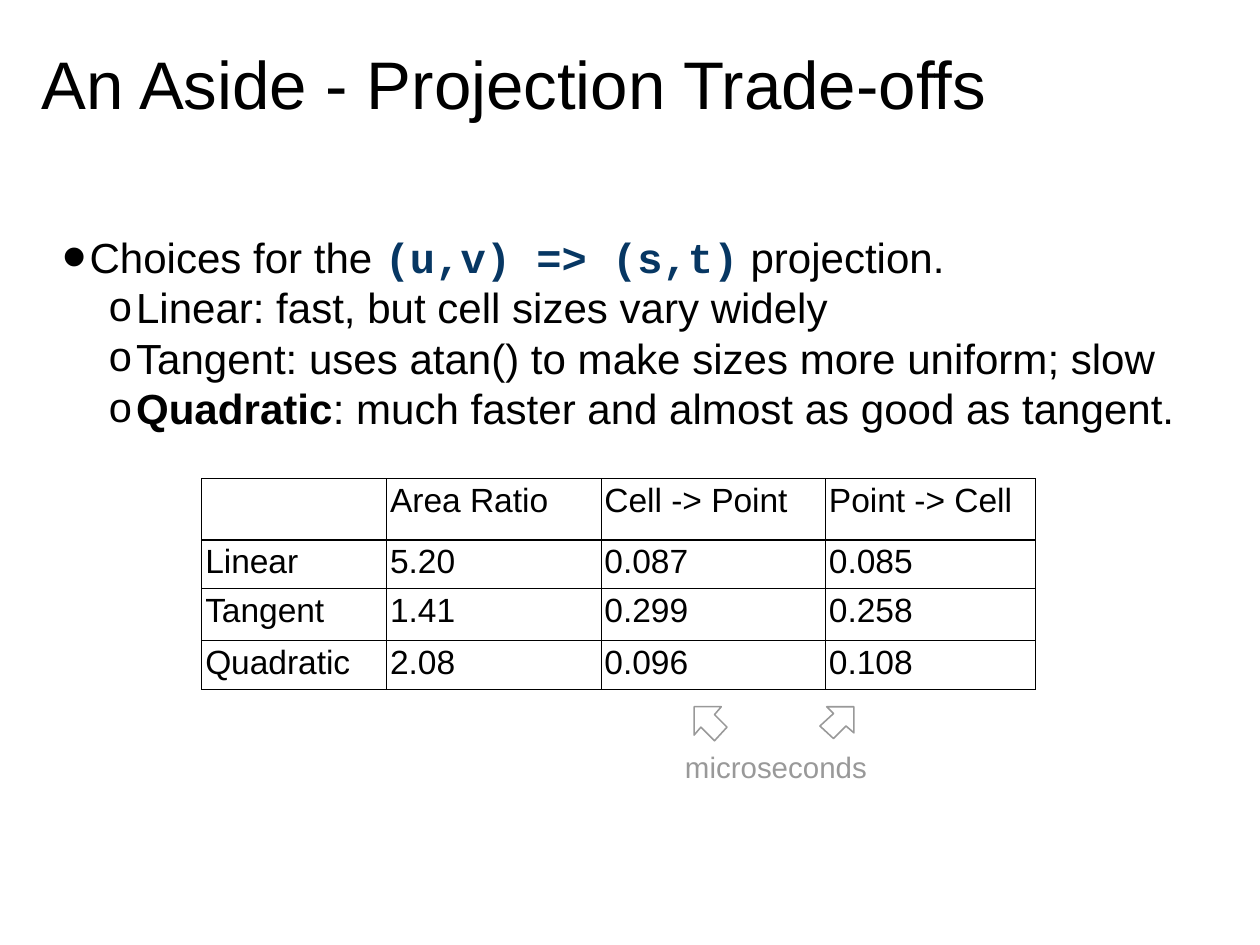
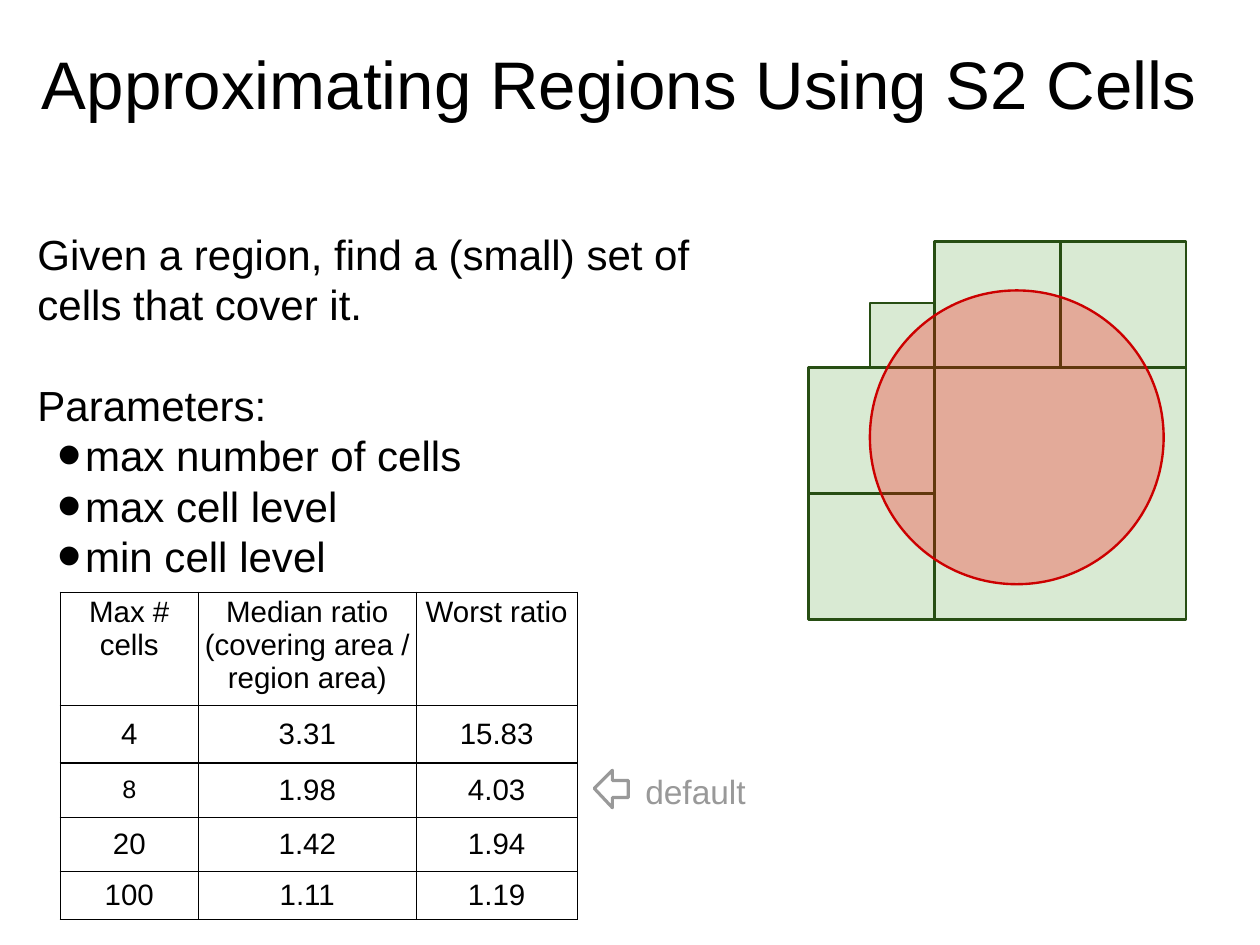
from lxml.etree import SubElement as Sub
from pptx import Presentation
from pptx.dml.color import RGBColor as RGB
from pptx.enum.shapes import MSO_SHAPE as Kind
from pptx.enum.text import MSO_ANCHOR as Anchor, PP_ALIGN as Align
from pptx.oxml.ns import qn
from pptx.util import Pt

UNIT = 9144
BLACK, GREY, NAVY, WHITE = "000000", "999999", "073763", "FFFFFF"
MOSS, MINT, RED, WINE = "274E13", "D9EAD3", "FF0000", "CC0000"


def px(n):
    return n * UNIT


def tint(code):
    return RGB.from_string(code)


class Deck:
    """Holds the shared style and the slide being drawn."""

    face = "Arial"
    mono = "Courier New"
    head = 42.7
    size = 26.7
    marks = {1: ("•", 42, 165000), 2: ("o", 83, 99000)}

    def __init__(self):
        self.prs = Presentation()
        self.prs.slide_width, self.prs.slide_height = px(1111), px(833)

    def page(self, title):
        slide = self.prs.slides.add_slide(self.prs.slide_layouts[6])
        self.shapes = slide.shapes
        frame = self.frame(33, 33, 1053, 108)
        self.fill(frame.paragraphs[0], title, self.head, lead=51.2)

    def frame(self, x, y, w, h):
        frame = self.shapes.add_textbox(px(x), px(y), px(w), px(h)).text_frame
        frame.word_wrap = True
        frame.margin_left = frame.margin_right = px(4)
        frame.margin_top = frame.margin_bottom = px(4)
        return frame

    def fill(self, para, text, size, color=BLACK, lead=None):
        if lead:
            para.line_spacing = Pt(lead)
        font = para.font
        font.name, font.size = self.face, Pt(size)
        font.color.rgb = tint(color)
        runs = [(text, None)] if isinstance(text, str) else text
        for words, style in runs:
            run = para.add_run()
            run.text = words
            if style:
                run.font.bold = True
            if style == "code":
                run.font.name = self.mono
                run.font.color.rgb = tint(NAVY)

    def label(self, x, y, w, h, text, size):
        self.fill(self.frame(x, y, w, h).paragraphs[0], text, size, GREY)

    def body(self, x, y, w, h, lines):
        frame = self.frame(x, y, w, h)
        for i, (level, text, gap) in enumerate(lines):
            para = frame.add_paragraph() if i else frame.paragraphs[0]
            para.line_spacing = Pt(32)
            if gap:
                para.space_before = Pt(gap)
            if level:
                self.mark(para, level)
            self.fill(para, text, self.size)

    def mark(self, para, level):
        char, left, scale = self.marks[level]
        para.level = level - 1
        prop = para._p.get_or_add_pPr()
        prop.set("marL", str(px(left)))
        prop.set("indent", str(px(-24)))
        Sub(Sub(prop, qn("a:buClr")), qn("a:srgbClr"), val=BLACK)
        Sub(prop, qn("a:buSzPct"), val=str(scale))
        Sub(prop, qn("a:buFont"), typeface=self.face)
        Sub(prop, qn("a:buChar"), char=char)

    def table(self, x, y, cols, rows, data, size, center=False, small=()):
        grid = self.shapes.add_table(len(rows), len(cols), px(x), px(y),
                                     px(sum(cols)), px(sum(rows))).table
        grid.first_row = grid.horz_banding = False
        for col, w in zip(grid.columns, cols):
            col.width = px(w)
        for r, (h, line) in enumerate(zip(rows, data)):
            grid.rows[r].height = px(h)
            for c, text in enumerate(line):
                cell = grid.cell(r, c)
                cell.margin_left = cell.margin_right = px(3)
                cell.margin_top = cell.margin_bottom = px(3)
                if center and r:
                    cell.vertical_anchor = Anchor.MIDDLE
                self.edge(cell)
                cell.fill.background()
                para = cell.text_frame.paragraphs[0]
                if center:
                    para.alignment = Align.CENTER
                if text:
                    self.fill(para, text, 16 if (r, c) in small else size)

    def edge(self, cell):
        prop = cell._tc.get_or_add_tcPr()
        for side in ("lnL", "lnR", "lnT", "lnB"):
            line = Sub(prop, qn("a:" + side), w=str(Pt(0.75)))
            Sub(Sub(line, qn("a:solidFill")), qn("a:srgbClr"), val=BLACK)

    def paint(self, shape, fill, line, width):
        shape.shadow.inherit = False
        shape.fill.solid()
        shape.fill.fore_color.rgb = tint(fill)
        shape.line.color.rgb = tint(line)
        shape.line.width = Pt(width)
        return shape

    def shape(self, kind, x, y, w, fill, line):
        item = self.shapes.add_shape(kind, px(x), px(y), px(w), px(w))
        return self.paint(item, fill, line, 1.5)

    def arrow(self, spots, width):
        pen = self.shapes.build_freeform(*spots[0], scale=UNIT)
        pen.add_line_segments(spots[1:], close=True)
        self.paint(pen.convert_to_shape(), WHITE, GREY, width)

    def glass(self, shape, part):
        color = shape._element.spPr.find(qn("a:solidFill"))[0]
        Sub(color, qn("a:alpha"), val=str(part * 1000))


def trade(deck):
    deck.page("An Aside - Projection Trade-offs")
    deck.body(33, 200, 1053, 608, [
        (1, [("Choices for the ", None), ("(u,v) => (s,t)", "code"),
             (" projection.", None)], 0),
        (2, "Linear: fast, but cell sizes vary widely", 0),
        (2, "Tangent: uses atan() to make sizes more uniform; slow", 0),
        (2, [("Quadratic", "bold"),
             (": much faster and almost as good as tangent.", None)], 0),
    ])
    deck.table(178, 422, [163, 189, 198, 185], [54, 43, 46, 43], [
        ("", "Area Ratio", "Cell -> Point", "Point -> Cell"),
        ("Linear", "5.20", "0.087", "0.085"),
        ("Tangent", "1.41", "0.299", "0.258"),
        ("Quadratic", "2.08", "0.096", "0.108"),
    ], 21.3)
    deck.label(600, 656, 186, 54, "microseconds", 18.7)
    deck.arrow([(641, 641), (630, 630), (636, 623), (612, 623), (612, 648),
                (618, 641), (630, 653)], 1)
    deck.arrow([(723, 640), (735, 629), (729, 623), (753, 623), (753, 646),
                (746, 640), (735, 651)], 1)


def cover(deck):
    deck.page("Approximating Regions Using S2 Cells")
    deck.body(29, 197, 627, 306, [
        (0, "Given a region, find a (small) set of cells that cover it.", 0),
        (0, "Parameters:", 32),
        (1, "max number of cells", 0),
        (1, "max cell level", 0),
        (1, "min cell level", 0),
    ])
    left, top, side = 713, 213, 111
    for col, row, span in [(1, 1, 2), (2, 0, 1), (1, 0, 1), (0, 2, 1), (0, 1, 1)]:
        deck.shape(Kind.RECTANGLE, left + col * side, top + row * side,
                   span * side, MINT, MOSS)
    deck.shape(Kind.RECTANGLE, 767, 267, 57, MINT, MOSS)
    deck.glass(deck.shape(Kind.OVAL, 767, 256, 259, RED, WINE), 27)
    deck.table(53, 522, [122, 192, 142], [99, 51, 48, 48, 42], [
        ("Max # cells", "Median ratio (covering area / region area)",
         "Worst ratio"),
        ("4", "3.31", "15.83"),
        ("8", "1.98", "4.03"),
        ("20", "1.42", "1.94"),
        ("100", "1.11", "1.19"),
    ], 18.7, True, {(2, 0)})
    deck.arrow([(554, 688), (540, 688), (540, 679), (524, 695), (540, 712),
                (540, 703), (554, 703)], 2)
    deck.label(565, 676, 113, 48, "default", 21.3)


def main():
    deck = Deck()
    trade(deck)
    cover(deck)
    deck.prs.save("out.pptx")


if __name__ == "__main__":
    main()
